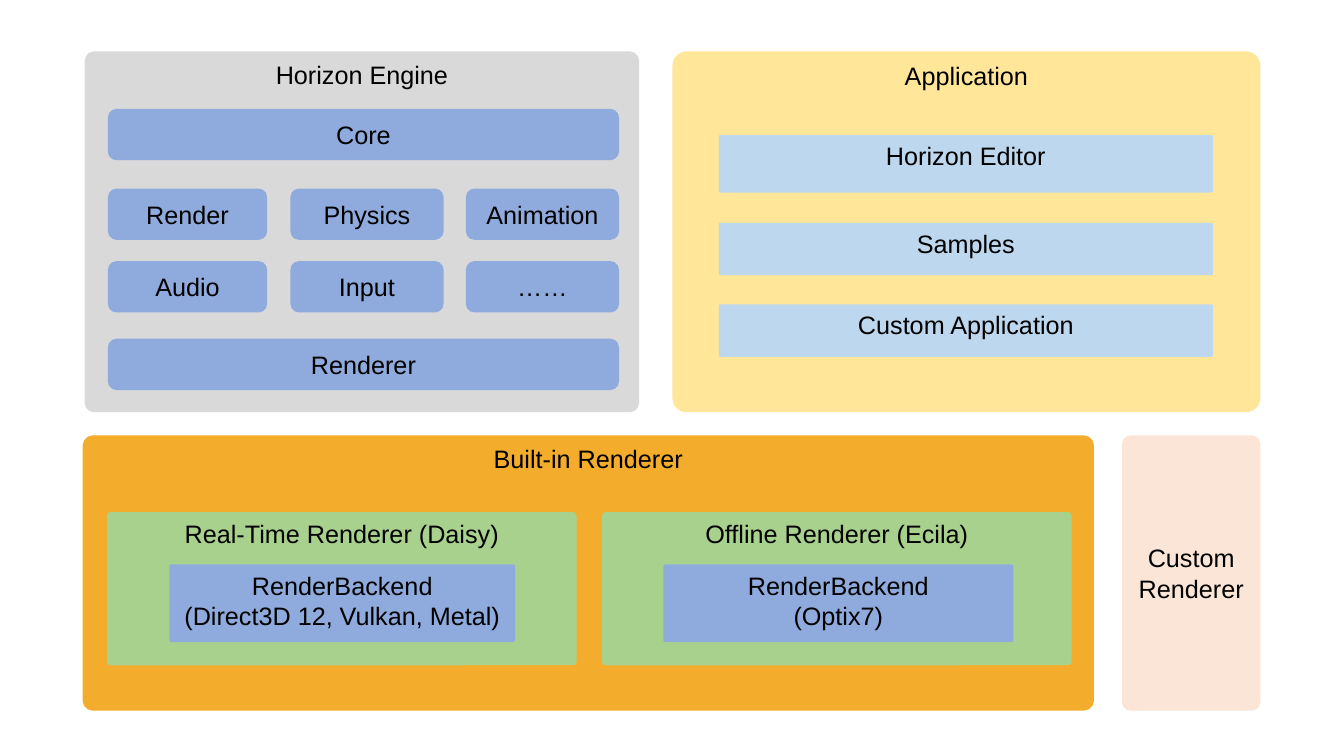
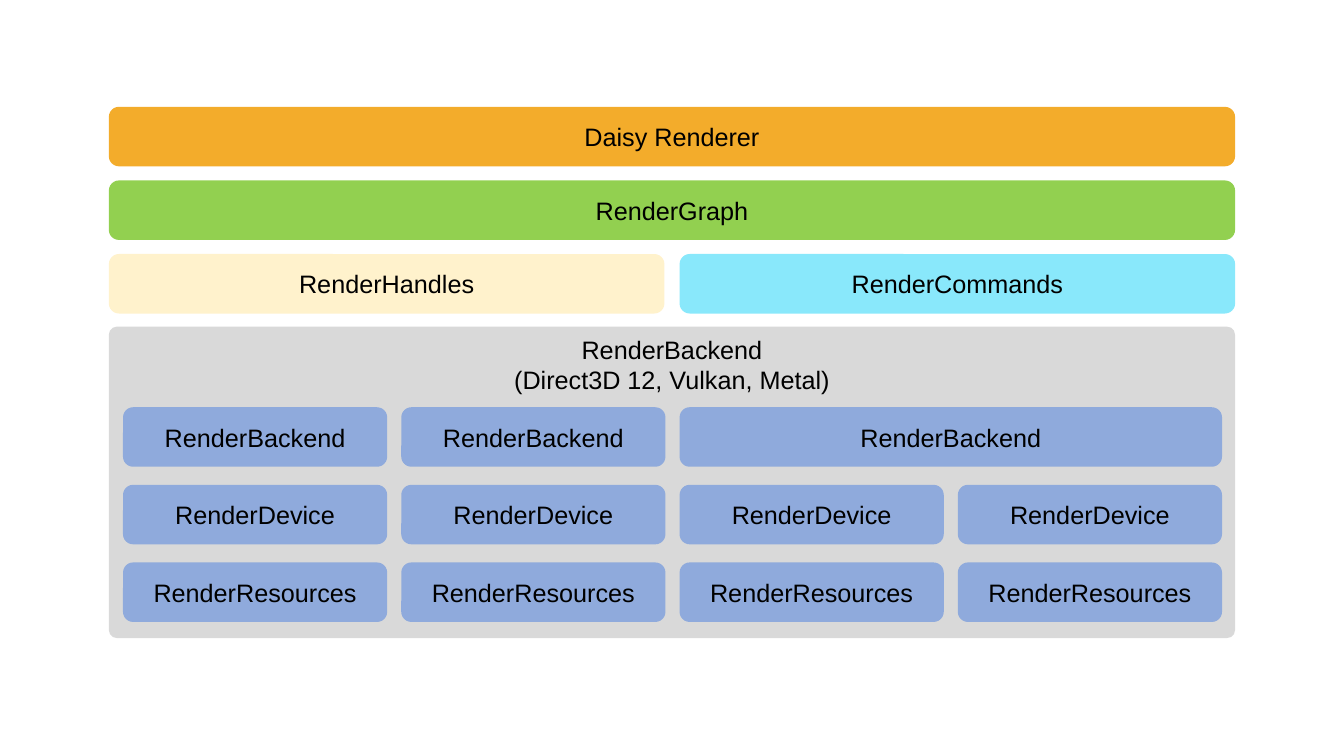
from dataclasses import dataclass

from pptx import Presentation
from pptx.dml.color import RGBColor
from pptx.enum.shapes import MSO_SHAPE as Shape
from pptx.enum.text import MSO_ANCHOR as Anchor, PP_ALIGN as Align
from pptx.slide import Slide
from pptx.util import Inches, Pt

Track = tuple[float, float]


@dataclass(frozen=True)
class Look:
    fill: str
    curve: float = 0.17
    middle: bool = True


@dataclass(frozen=True)
class Box:
    left: float
    top: float
    width: float
    height: float


@dataclass(frozen=True)
class Grid:
    cols: list[Track]
    rows: list[Track]

    def cell(self, col: int, row: int, span: int = 1) -> Box:
        left, top = self.cols[col][0], self.rows[row][0]
        start, size = self.cols[col + span - 1]
        return Box(left, top, start + size - left, self.rows[row][1])


@dataclass(frozen=True)
class Card:
    text: str
    col: int
    row: int
    look: Look
    span: int = 1


GREY, ORANGE, BLUE = "D9D9D9", "F3AC2B", "8FAADC"
ENGINE = Look(GREY, 0.026, False)
APP = Look("FFE699", 0.039, False)
BUILT = Look(ORANGE, 0.036, False)
CUSTOM = Look("FBE5D6", 0.06)
KIND = Look("A9D18E", 0.026, False)
ITEM = Look("BDD7EE", 0.026, False)
BACK = Look(BLUE, 0.026, False)
PART = Look(BLUE)
API = "RenderBackend\n(Direct3D 12, Vulkan, Metal)"


def color(code: str) -> RGBColor:
    return RGBColor.from_string(code)


def even(start: float, size: float, gap: float, count: int) -> list[Track]:
    return [(start + i * (size + gap), size) for i in range(count)]


def draw(slide: Slide, box: Box, text: str, look: Look) -> None:
    edges = map(Inches, (box.left, box.top, box.width, box.height))
    shape = slide.shapes.add_shape(Shape.ROUNDED_RECTANGLE, *edges)
    shape.adjustments[0] = look.curve
    shape.shadow.inherit = False
    shape.fill.solid()
    shape.fill.fore_color.rgb = color(look.fill)
    shape.line.fill.background()
    frame = shape.text_frame
    frame.word_wrap = True
    frame.vertical_anchor = Anchor.MIDDLE if look.middle else Anchor.TOP
    for i, line in enumerate(text.split("\n")):
        para = frame.add_paragraph() if i else frame.paragraphs[0]
        para.alignment = Align.CENTER
        run = para.add_run()
        run.text = line
        run.font.name, run.font.size = "Arial", Pt(18)
        run.font.color.rgb = color("000000")


def place(slide: Slide, grid: Grid, cards: list[Card]) -> None:
    for card in cards:
        draw(slide, grid.cell(card.col, card.row, card.span), card.text, card.look)


def engine(slide: Slide) -> None:
    upper = Grid([(0.84, 5.5), (6.67, 5.83)], [(0.51, 3.58)])
    place(slide, upper, [Card("Horizon Engine", 0, 0, ENGINE),
                         Card("Application", 1, 0, APP)])
    lower = Grid([(0.82, 10.03), (11.13, 1.37)], [(4.32, 2.73)])
    place(slide, lower, [Card("Built-in Renderer", 0, 0, BUILT),
                         Card("Custom Renderer", 1, 0, CUSTOM)])
    parts = Grid([(1.07, 1.58), (2.88, 1.52), (4.62, 1.52)],
                 [(top, 0.51) for top in (1.08, 1.87, 2.59, 3.36)])
    names = (("Render", "Physics", "Animation"), ("Audio", "Input", "……"))
    place(slide, parts, [
        Card("Core", 0, 0, PART, 3),
        *(Card(name, col, row, PART)
          for row, line in enumerate(names, 1) for col, name in enumerate(line)),
        Card("Renderer", 0, 3, PART, 3),
    ])
    items = Grid([(7.13, 4.9)], [(1.34, 0.57), (2.21, 0.52), (3.02, 0.52)])
    apps = ("Horizon Editor", "Samples", "Custom Application")
    place(slide, items, [Card(name, 0, row, ITEM) for row, name in enumerate(apps)])
    kinds = Grid(even(1.06, 4.66, 0.25, 2), [(5.08, 1.52)])
    place(slide, kinds, [Card("Real-Time Renderer (Daisy)", 0, 0, KIND),
                         Card("Offline Renderer (Ecila)", 1, 0, KIND)])
    backs = Grid([(1.68, 3.43), (6.58, 3.47)], [(5.6, 0.77)])
    place(slide, backs, [Card(API, 0, 0, BACK),
                         Card("RenderBackend\n(Optix7)", 1, 0, BACK)])


def daisy(slide: Slide) -> None:
    halves = Grid(even(1.08, 5.51, 0.15, 2),
                  [*even(1.06, 0.59, 0.14, 3), (3.24, 3.09)])
    place(slide, halves, [
        Card("Daisy Renderer", 0, 0, Look(ORANGE), 2),
        Card("RenderGraph", 0, 1, Look("92D050"), 2),
        Card("RenderHandles", 0, 2, Look("FFF2CC")),
        Card("RenderCommands", 1, 2, Look("89E8FB")),
        Card(API, 0, 3, ENGINE, 2),
    ])
    parts = Grid(even(1.22, 2.62, 0.14, 4), even(4.04, 0.59, 0.18, 3))
    place(slide, parts, [
        *(Card("RenderBackend", col, 0, PART, span)
          for col, span in ((0, 1), (1, 1), (2, 2))),
        *(Card(name, col, row, PART)
          for row, name in enumerate(("RenderDevice", "RenderResources"), 1)
          for col in range(4)),
    ])


def main() -> None:
    """Build the two architecture slides and save them."""
    deck = Presentation()
    deck.slide_width, deck.slide_height = Inches(13.33), Inches(7.5)
    for build in (engine, daisy):
        build(deck.slides.add_slide(deck.slide_layouts[6]))
    deck.save("out.pptx")


main()
